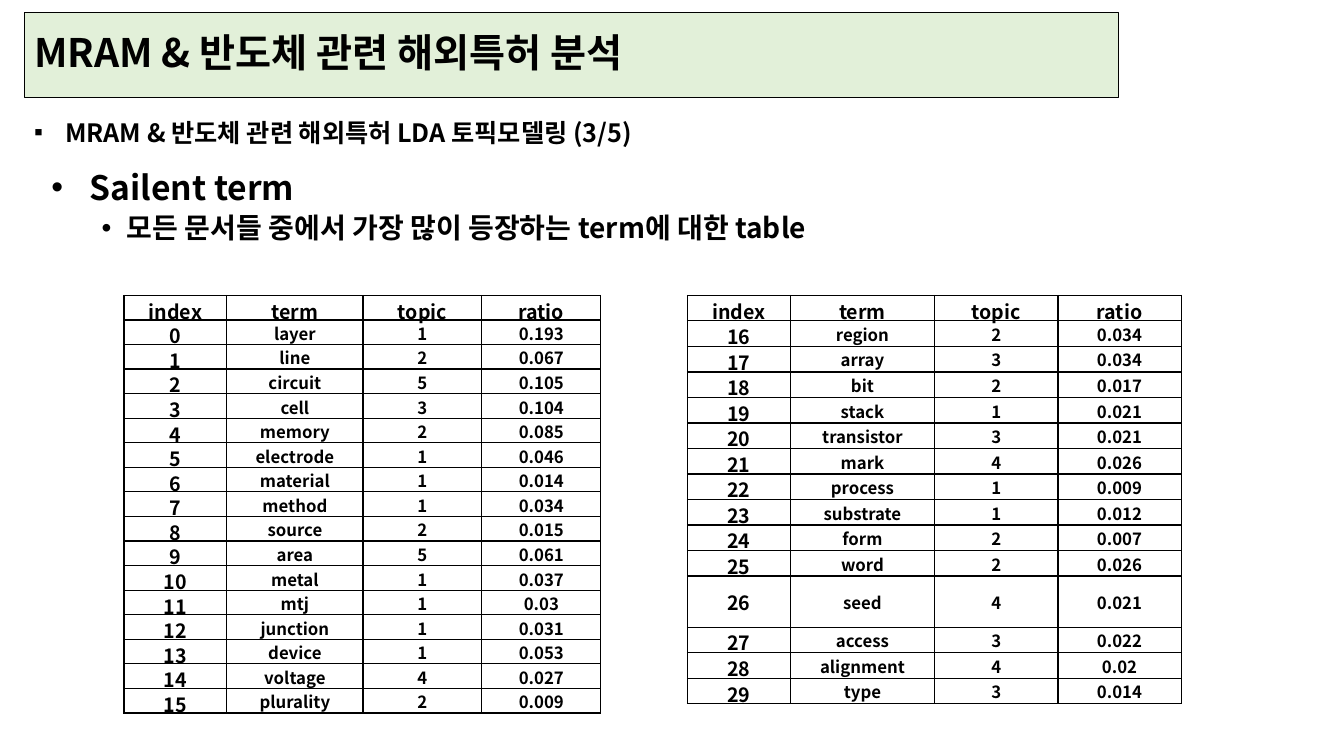
from dataclasses import dataclass

from lxml import etree
from pptx import Presentation
from pptx import util as u
from pptx.dml.color import RGBColor
from pptx.enum import text
from pptx.oxml.ns import qn

FONT = "Noto Sans CJK KR"
INK = "000000"
TITLE_FILL = "E2F0D9"
SLIDE_WIDTH, SLIDE_HEIGHT = u.Inches(13.33), u.Inches(7.5)

HEADINGS = ("index", "term", "topic", "ratio")
SALIENT_TERMS = [
    ("layer", "1", "0.193"), ("line", "2", "0.067"), ("circuit", "5", "0.105"),
    ("cell", "3", "0.104"), ("memory", "2", "0.085"), ("electrode", "1", "0.046"),
    ("material", "1", "0.014"), ("method", "1", "0.034"), ("source", "2", "0.015"),
    ("area", "5", "0.061"), ("metal", "1", "0.037"), ("mtj", "1", "0.03"),
    ("junction", "1", "0.031"), ("device", "1", "0.053"), ("voltage", "4", "0.027"),
    ("plurality", "2", "0.009"), ("region", "2", "0.034"), ("array", "3", "0.034"),
    ("bit", "2", "0.017"), ("stack", "1", "0.021"), ("transistor", "3", "0.021"),
    ("mark", "4", "0.026"), ("process", "1", "0.009"), ("substrate", "1", "0.012"),
    ("form", "2", "0.007"), ("word", "2", "0.026"), ("seed", "4", "0.021"),
    ("access", "3", "0.022"), ("alignment", "4", "0.02"), ("type", "3", "0.014"),
]


@dataclass(frozen=True)
class Area:
    """Left, top, width and height in percent of the slide."""
    left: float
    top: float
    width: float
    height: float

    def box(self) -> tuple:
        return across(self.left), down(self.top), across(self.width), down(self.height)


@dataclass(frozen=True)
class Bullet:
    wording: str
    size: int
    mark: str
    margin: float
    hanging: float
    level: int = 0
    line_spacing: float = 1.0
    space_before: int = 0


@dataclass(frozen=True)
class TermTable:
    """A run of salient terms; widths and heights in percent of the slide."""
    area: Area
    first: int
    last: int
    columns: tuple
    row_height: float
    tall_index: int = -1


BULLET_BOXES = [
    (Area(1.8, 14.8, 66.3, 5.33), [
        Bullet("MRAM & 반도체 관련 해외특허 LDA 토픽모델링 (3/5)", 18, "▪", 0.31, 0.31),
    ]),
    (Area(3.08, 22, 89.55, 63.47), [
        Bullet("Sailent term", 24, "•", 0.38, 0.38, line_spacing=0.9),
        Bullet("모든 문서들 중에서 가장 많이 등장하는 term에 대한 table", 20, "•",
               0.75, 0.25, level=1, line_spacing=0.9, space_before=5),
    ]),
]
TERM_TABLES = [
    TermTable(Area(9.23, 39.07, 35.48, 54.13), 0, 15, (7.65, 10.13, 8.85, 8.85), 2.95),
    TermTable(Area(51.15, 39.07, 36.74, 54.13), 16, 29, (7.65, 10.75, 9.17, 9.17), 3.38, 26),
]


def across(percent: float) -> int:
    return round(SLIDE_WIDTH * percent / 100)


def down(percent: float) -> int:
    return round(SLIDE_HEIGHT * percent / 100)


def colour(value: str) -> RGBColor:
    return RGBColor.from_string(value)


def style(paragraph, size: int) -> None:
    font = paragraph.font
    font.size, font.bold, font.name = u.Pt(size), True, FONT
    font.color.rgb = colour(INK)
    properties = paragraph._p.pPr.find(qn("a:defRPr"))
    etree.SubElement(properties, qn("a:ea"), typeface=FONT)


def add_title(slide, wording: str, area: Area) -> None:
    title = slide.shapes.title
    title.left, title.top, title.width, title.height = area.box()
    title.fill.solid()
    title.fill.fore_color.rgb = colour(TITLE_FILL)
    title.line.color.rgb = colour(INK)
    title.line.width = u.Pt(0.75)
    frame = title.text_frame
    frame.text = wording
    frame.auto_size = text.MSO_AUTO_SIZE.NONE
    frame.vertical_anchor = text.MSO_ANCHOR.MIDDLE
    heading = frame.paragraphs[0]
    heading.alignment = text.PP_ALIGN.LEFT
    heading.line_spacing = 0.9
    style(heading, 28)


def add_bullets(slide, area: Area, bullets: list) -> None:
    frame = slide.shapes.add_textbox(*area.box()).text_frame
    frame.word_wrap = True
    for number, bullet in enumerate(bullets):
        paragraph = frame.add_paragraph() if number else frame.paragraphs[0]
        paragraph.text = bullet.wording
        paragraph.level = bullet.level
        paragraph.line_spacing = bullet.line_spacing
        if bullet.space_before:
            paragraph.space_before = u.Pt(bullet.space_before)
        properties = paragraph._p.get_or_add_pPr()
        properties.set("marL", str(u.Inches(bullet.margin)))
        properties.set("indent", str(-u.Inches(bullet.hanging)))
        etree.SubElement(properties, qn("a:buFont"), typeface="Arial")
        etree.SubElement(properties, qn("a:buChar"), char=bullet.mark)
        style(paragraph, bullet.size)


def add_borders(cell) -> None:
    properties = cell._tc.get_or_add_tcPr()
    for side in ("lnL", "lnR", "lnT", "lnB"):
        border = etree.SubElement(properties, qn(f"a:{side}"), w=str(u.Pt(1)))
        fill = etree.SubElement(border, qn("a:solidFill"))
        etree.SubElement(fill, qn("a:srgbClr"), val=INK)


def fill_cell(cell, wording: str, size: int) -> None:
    cell.text = wording
    cell.vertical_anchor = text.MSO_ANCHOR.MIDDLE
    cell.margin_left = cell.margin_right = cell.margin_top = u.Inches(0.01)
    cell.margin_bottom = 0
    add_borders(cell)
    cell.fill.background()
    paragraph = cell.text_frame.paragraphs[0]
    paragraph.alignment = text.PP_ALIGN.CENTER
    style(paragraph, size)


def add_term_table(slide, terms: TermTable) -> None:
    indices = range(terms.first, terms.last + 1)
    records = [HEADINGS] + [(str(index), *SALIENT_TERMS[index]) for index in indices]
    frame = slide.shapes.add_table(len(records), len(HEADINGS), *terms.area.box())
    table = frame.table
    table.first_row = table.horz_banding = False
    for column, width in zip(table.columns, terms.columns):
        column.width = across(width)
    for row_number, record in enumerate(records):
        is_tall = record[0] == str(terms.tall_index)
        table.rows[row_number].height = down(terms.row_height * (2 if is_tall else 1))
        for column_number, wording in enumerate(record):
            size = 14 if row_number == 0 or column_number == 0 else 12
            fill_cell(table.cell(row_number, column_number), wording, size)
    frame.height = down(terms.area.height)


def main() -> None:
    deck = Presentation()
    deck.slide_width, deck.slide_height = SLIDE_WIDTH, SLIDE_HEIGHT
    slide = deck.slides.add_slide(deck.slide_layouts[5])
    add_title(slide, "MRAM & 반도체 관련 해외특허 분석", Area(1.8, 1.6, 81.45, 11.33))
    for area, bullets in BULLET_BOXES:
        add_bullets(slide, area, bullets)
    for terms in TERM_TABLES:
        add_term_table(slide, terms)
    deck.save("out.pptx")


if __name__ == "__main__":
    main()
